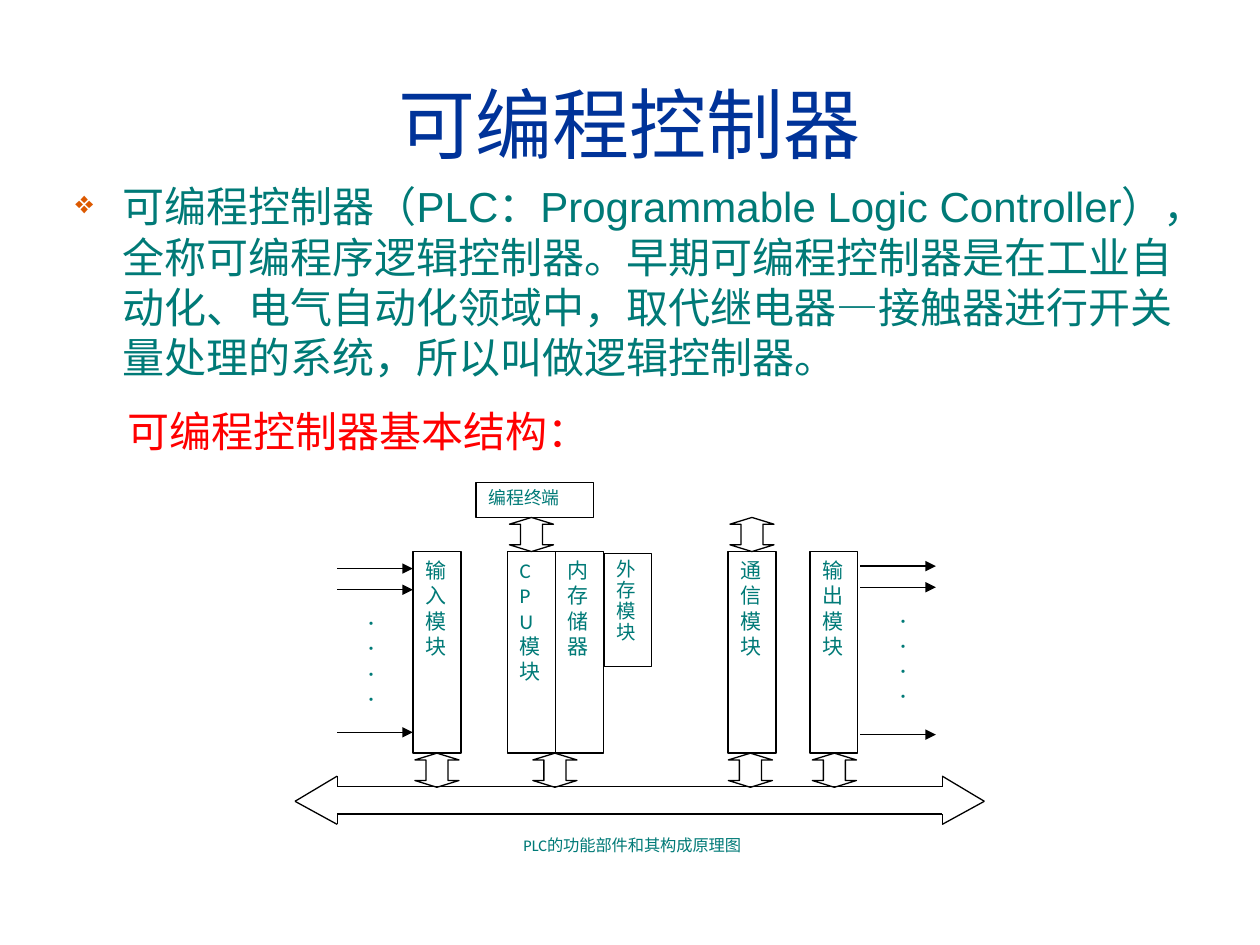
from dataclasses import dataclass
from itertools import pairwise

from lxml.etree import SubElement as Sub
from pptx import Presentation
from pptx.dml.color import RGBColor as RGB
from pptx.enum.shapes import MSO_CONNECTOR as Conn, MSO_SHAPE as Kind
from pptx.enum.text import MSO_ANCHOR as Anchor, PP_ALIGN as Align
from pptx.oxml.ns import qn
from pptx.util import Pt

Dot = tuple[float, float]


@dataclass(frozen=True)
class Theme:
    head: RGB = RGB(0x00, 0x33, 0x99)
    text: RGB = RGB(0x00, 0x7A, 0x77)
    note: RGB = RGB(0xFF, 0x00, 0x00)
    ink: RGB = RGB(0x00, 0x00, 0x00)
    fill: RGB = RGB(0xFF, 0xFF, 0xFF)
    mark: str = "DC5900"
    main: str = "Arial"
    label: str = "Calibri"
    title: float = 44
    body: float = 24
    unit: float = 12
    store: float = 11.1
    port: float = 10.2
    foot: float = 9.3
    line: float = 0.75


@dataclass(frozen=True)
class Box:
    x: float
    y: float
    w: float
    h: float


@dataclass(frozen=True)
class Style:
    size: float
    font: str
    color: RGB
    align: Align = Align.LEFT
    space: float | None = None
    bullet: bool = False


@dataclass(frozen=True)
class Unit:
    text: str
    box: Box
    style: Style


def add_bullet(para) -> None:
    prop = para._p.get_or_add_pPr()
    prop.set("marL", str(Pt(27)))
    prop.set("indent", str(Pt(-27)))
    tint = Sub(prop, qn("a:buClr"))
    Sub(tint, qn("a:srgbClr"), val=T.mark)
    Sub(prop, qn("a:buSzPct"), val="75000")
    Sub(prop, qn("a:buChar"), char="❖")


def write(shape, text: str, style: Style, wrap: bool = True) -> None:
    frame = shape.text_frame
    frame.word_wrap = wrap
    frame.vertical_anchor = Anchor.TOP
    frame.text = text
    for para in frame.paragraphs:
        para.alignment = style.align
        if style.space:
            para.line_spacing = style.space
        if style.bullet:
            add_bullet(para)
        font = para.font
        font.size, font.name = Pt(style.size), style.font
        font.color.rgb = style.color


def place(box: Box) -> tuple[Pt, ...]:
    return Pt(box.x), Pt(box.y), Pt(box.w), Pt(box.h)


def add_text(shapes, box: Box, text: str, style: Style, wrap: bool = True):
    shape = shapes.add_textbox(*place(box))
    write(shape, text, style, wrap)
    return shape


def add_form(shapes, kind: Kind, box: Box):
    shape = shapes.add_shape(kind, *place(box))
    shape.shadow.inherit = False
    shape.fill.solid()
    shape.fill.fore_color.rgb = T.fill
    shape.line.color.rgb = T.ink
    shape.line.width = Pt(T.line)
    return shape


def add_unit(shapes, unit: Unit) -> None:
    write(add_form(shapes, Kind.RECTANGLE, unit.box), unit.text, unit.style)


def add_link(shapes, x: float, y: float) -> None:
    link = add_form(shapes, Kind.UP_DOWN_ARROW, Box(x, y, 25.2, GAP))
    guides = link._element.spPr.find(qn("a:prstGeom")).find(qn("a:avLst"))
    for guide in list(guides):
        guides.remove(guide)
    for name, size in (("adj1", 50000), ("adj2", 19900)):
        Sub(guides, qn("a:gd"), name=name, fmla=f"val {size}")


def add_line(shapes, start: Dot, end: Dot, arrow: bool = False) -> None:
    line = shapes.add_connector(Conn.STRAIGHT, *map(Pt, start + end))
    line.line.color.rgb = T.ink
    line.line.width = Pt(T.line)
    if arrow:
        Sub(line.line._get_or_add_ln(), qn("a:tailEnd"), type="triangle")
    Sub(line._element.spPr, qn("a:effectLst"))


T = Theme()
TOP, TALL, WIDE, GAP = 315.2, 115.2, 27.4, 19.5
BASE = TOP + TALL
CELL = Style(T.unit, T.label, T.text, Align.JUSTIFY)
PORT = Style(T.port, T.label, T.text, Align.JUSTIFY, 0.9)
STORE = Style(T.store, T.label, T.text, Align.JUSTIFY, 0.9)
FOOT = Style(T.foot, T.label, T.text, Align.CENTER, 0.8)

UNITS = [
    *(Unit(text, Box(x, TOP, WIDE, TALL), CELL) for text, x in [
        ("输入模块", 236), ("C\nPU模块", 289.9), ("输出模块", 462.8),
        ("通信模块", 416), ("内存储器", 317.4)]),
    Unit("编程终端", Box(272, 275.8, 67, 20.1), PORT),
    Unit("外存模块", Box(345.1, 316.2, WIDE, 64.8), STORE),
]
LINKS = [(x, BASE) for x in (237.1, 304.5, 416.2, 464.2)]
LINKS += [(x, TOP - GAP) for x in (291.1, 417.1)]
SIGNALS = {192.7: (324.9, 337, 418.5), 491.6: (323.5, 335.6, 419.8)}
DOTS = [(202.3, 342), (506.2, 340.6)]
LEFT, RIGHT = 192.7, 538.4
BUS = [(168.6, 457.9), (LEFT, 443.5), (LEFT, 449.5), (RIGHT, 449.5),
       (RIGHT, 443.5), (562.5, 457.9), (RIGHT, 471.1), (RIGHT, 465.1),
       (LEFT, 465.1), (LEFT, 471.1)]


def main() -> None:
    deck = Presentation()
    deck.slide_width, deck.slide_height = Pt(720), Pt(540)
    slide = deck.slides.add_slide(deck.slide_layouts[6])
    shapes = slide.shapes

    # Title
    title = add_text(shapes, Box(11.2, 39, 697.7, 62.5), "可编程控制器",
                     Style(T.title, T.main, T.head, Align.CENTER))
    title.text_frame.vertical_anchor = Anchor.MIDDLE

    # Definition and heading of the diagram
    add_text(shapes, Box(36, 99.7, 650, 389.5),
             "可编程控制器（PLC：Programmable Logic Controller），"
             "全称可编程序逻辑控制器。早期可编程控制器是在工业自动化、"
             "电气自动化领域中，取代继电器—接触器进行开关量处理的系统，"
             "所以叫做逻辑控制器。",
             Style(T.body, T.main, T.text, bullet=True))
    note = add_text(shapes, Box(29.5, 228.2, 314, 36), "可编程控制器基本结构：",
                    Style(T.body, T.main, T.note), wrap=False)
    note.text_frame.paragraphs[0]._p.get_or_add_pPr().set("marL", str(Pt(36)))

    # Diagram: modules, links and signals
    group = shapes.add_group_shape().shapes
    for unit in UNITS:
        add_unit(group, unit)
    for x, y in LINKS:
        add_link(group, x, y)
    for x, rows in SIGNALS.items():
        for y in rows:
            add_line(group, (x, y), (x + 43.2, y), arrow=True)
    for x, y in DOTS:
        add_text(group, Box(x, y, 16.6, 67), "．．．．", CELL)

    # Bus outline and caption
    for start, end in pairwise(BUS + BUS[:1]):
        add_line(group, start, end)
    add_text(group, Box(229.9, 476.2, 262.8, 19.5),
             "PLC的功能部件和其构成原理图", FOOT)

    deck.save("out.pptx")


if __name__ == "__main__":
    main()
